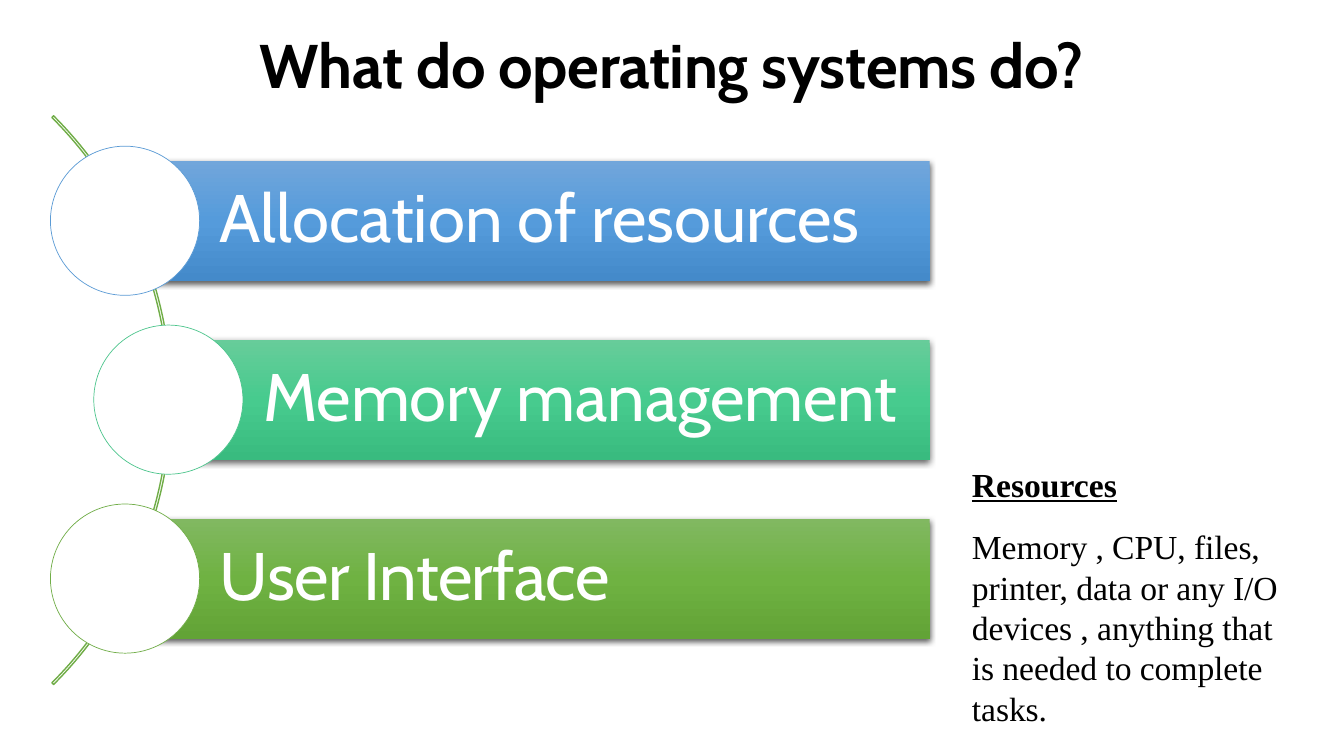
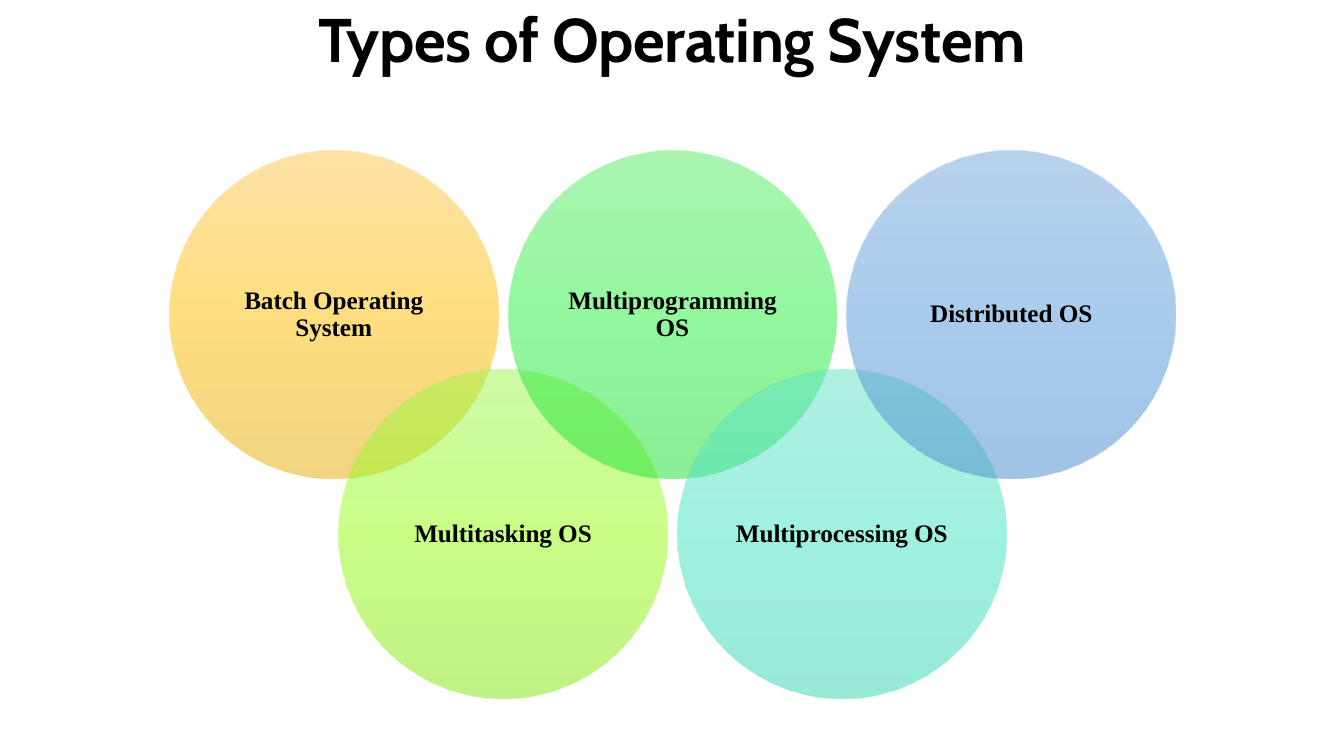
from dataclasses import dataclass

from lxml import etree
from pptx import Presentation
from pptx import util as u
from pptx.dml.color import RGBColor
from pptx.enum import shapes, text
from pptx.oxml.ns import qn

# Shared look
WIDE, HIGH = 13.33, 7.5
HEAD, BODY = "Cabin", "Times New Roman"
BLACK = RGBColor(0x00, 0x00, 0x00)
WHITE = RGBColor(0xFF, 0xFF, 0xFF)
SKY = RGBColor(0x5B, 0x9B, 0xD5)
MINT = RGBColor(0x4D, 0xC5, 0x8D)
LEAF = RGBColor(0x70, 0xAD, 0x47)


def shades(*codes: str) -> tuple[RGBColor, ...]:
    return tuple(RGBColor.from_string(code) for code in codes)


# Gradients, from top to bottom
BLUE = shades("71A6DB", "559BDB", "448ACA")
JADE = shades("67CC9A", "47CB8E", "39BB7F")
MOSS = shades("81B861", "6FB242", "62A336")
GOLD = shades("FFC64B", "FFC000", "E3AB00")
LIME = shades("A0F74E", "96FE0E", "85E509")
GREEN = shades("56EC62", "27F13E", "18E02F")
AQUA = shades("63E3C6", "3FE5C3", "2FD4B2")


@dataclass
class Bar:
    label: str
    left: float  # left edge of the disc
    tint: tuple[RGBColor, ...]
    rim: RGBColor
    space: float = 0


@dataclass
class Ring:
    label: str
    tint: tuple[RGBColor, ...]


BARS = [
    Bar("Allocation of resources", 0.5, BLUE, SKY),
    Bar("Memory management", 0.93, JADE, MINT, -0.1),
    Bar("User Interface", 0.5, MOSS, LEAF, -0.4),
]
RINGS = [
    Ring("Batch Operating System", GOLD),
    Ring("Multitasking OS", LIME),
    Ring("Multiprogramming OS", GREEN),
    Ring("Multiprocessing OS", AQUA),
    Ring("Distributed OS", BLUE),
]


def frame(shape, pad=(0, 0.01, 0, 0), anchor=text.MSO_ANCHOR.MIDDLE):
    """Set insets (left, top, right, bottom), wrapping and anchor."""
    box = shape.text_frame
    box.word_wrap = True
    box.vertical_anchor = anchor
    box.margin_left, box.margin_top, box.margin_right, box.margin_bottom = map(u.Inches, pad)
    return box


def write(para, words: str, *, size: float, font: str, color=BLACK, bold=False,
          under=False, align=text.PP_ALIGN.LEFT, lead=1.0, before=0.0, space=0.0) -> None:
    para.alignment, para.line_spacing = align, lead
    para.space_before = u.Pt(before)
    run = para.add_run()
    run.text = words
    face = run.font
    face.name, face.size, face.bold, face.underline = font, u.Pt(size), bold, under
    face.color.rgb = color
    if space:
        run._r.get_or_add_rPr().set("spc", str(round(space * 100)))


def draw(slide, kind, left: float, top: float, wide: float, high: float):
    """Add a preset shape without shadow, fill or line."""
    shape = slide.shapes.add_shape(kind, *map(u.Inches, (left, top, wide, high)))
    shape.shadow.inherit = False
    shape.fill.background()
    shape.line.fill.background()
    return shape


def blend(shape, tint: tuple[RGBColor, ...], alpha: int = 100) -> None:
    """Fill with evenly spaced stops, from top to bottom."""
    shape.fill.gradient()
    shape.fill.gradient_angle = 270
    stops = shape._element.spPr.find(qn("a:gradFill")).find(qn("a:gsLst"))
    for stop in list(stops):
        stops.remove(stop)
    for i, color in enumerate(tint):
        stop = etree.SubElement(stops, qn("a:gs"), pos=str(100000 * i // (len(tint) - 1)))
        shade = etree.SubElement(stop, qn("a:srgbClr"), val=str(color))
        if alpha < 100:
            etree.SubElement(shade, qn("a:alpha"), val=str(alpha * 1000))


def shadow(shape) -> None:
    effects = shape._element.spPr.find(qn("a:effectLst"))
    drop = etree.SubElement(effects, qn("a:outerShdw"), blurRad=str(u.Pt(4.5)),
                            dist=str(u.Pt(1.5)), dir="5400000", algn="ctr", rotWithShape="0")
    shade = etree.SubElement(drop, qn("a:srgbClr"), val=str(BLACK))
    etree.SubElement(shade, qn("a:alpha"), val="63000")


def edge(shape, color: RGBColor, width: float) -> None:
    shape.line.color.rgb = color
    shape.line.width = u.Pt(width)


def start(deck, words: str, top: float):
    """Add a slide with its title."""
    slide = deck.slides.add_slide(deck.slide_layouts[5])
    title = slide.shapes.title
    wide = 11.39
    title.left, title.top, title.width, title.height = map(
        u.Inches, ((WIDE - wide) / 2, top, wide, 0.75))
    box = frame(title)
    box.auto_size = text.MSO_AUTO_SIZE.SHAPE_TO_FIT_TEXT
    write(box.paragraphs[0], words, size=44, font=HEAD, bold=True,
          align=text.PP_ALIGN.CENTER, space=-0.3)
    return slide


def tasks(deck) -> None:
    slide = start(deck, "What do operating systems do?", 0.25)

    # Side note
    note = slide.shapes.add_textbox(*map(u.Inches, (9.64, 4.59, 3.27, 2.66)))
    box = frame(note, anchor=text.MSO_ANCHOR.TOP)
    write(box.paragraphs[0], "Resources", size=24, font=BODY, bold=True, under=True)
    write(box.add_paragraph(),
          "Memory , CPU, files, printer, data or any I/O devices , "
          "anything that is needed to complete tasks.",
          size=24, font=BODY, before=15.9, space=-0.05)

    # Arc behind the discs
    arc = draw(slide, shapes.MSO_SHAPE.BLOCK_ARC, -6.28, -0.02, 7.98, 7.98)
    for i, value in enumerate((189, 27, 0.003)):
        arc.adjustments[i] = value
    edge(arc, LEAF, 1)

    # Bars start at the middle of their discs
    disc, high, right, first, step = 1.48, 1.19, 9.22, 1.45, 1.775
    for row, bar in enumerate(BARS):
        top, mid = first + row * step, bar.left + disc / 2
        band = draw(slide, shapes.MSO_SHAPE.RECTANGLE, mid, top + (disc - high) / 2,
                    right - mid, high)
        blend(band, bar.tint)
        shadow(band)
        write(frame(band, (0.94, 0.13, 0.13, 0.13)).paragraphs[0], bar.label,
              size=48, font=HEAD, color=WHITE, lead=0.9, space=bar.space)
        dot = draw(slide, shapes.MSO_SHAPE.OVAL, bar.left, top, disc, disc)
        dot.fill.solid()
        dot.fill.fore_color.rgb = WHITE
        edge(dot, bar.rim, 0.5)


def types(deck) -> None:
    slide = start(deck, "Types of Operating System", 0)

    # Rings alternate between two rows
    size, step, rows = 3.26, 1.68, (1.49, 3.67)
    for i, ring in enumerate(RINGS):
        disc = draw(slide, shapes.MSO_SHAPE.OVAL, step * (i + 1), rows[i % 2], size, size)
        blend(disc, ring.tint, 50)
        write(frame(disc, (0.07,) * 4).paragraphs[0], ring.label, size=18, font=BODY,
              bold=True, align=text.PP_ALIGN.CENTER, lead=0.9, space=-0.05)


def main() -> None:
    deck = Presentation()
    deck.slide_width, deck.slide_height = u.Inches(WIDE), u.Inches(HIGH)
    tasks(deck)
    types(deck)
    deck.save("out.pptx")


if __name__ == "__main__":
    main()
